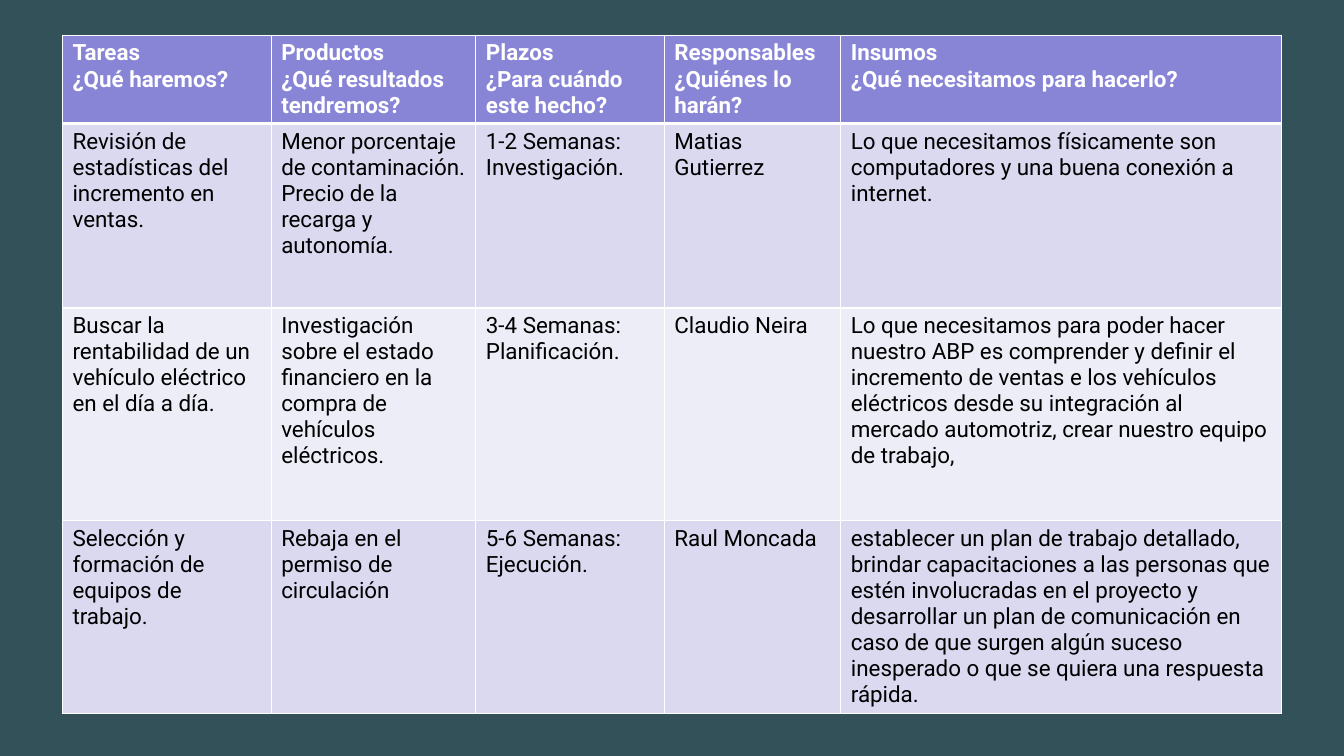
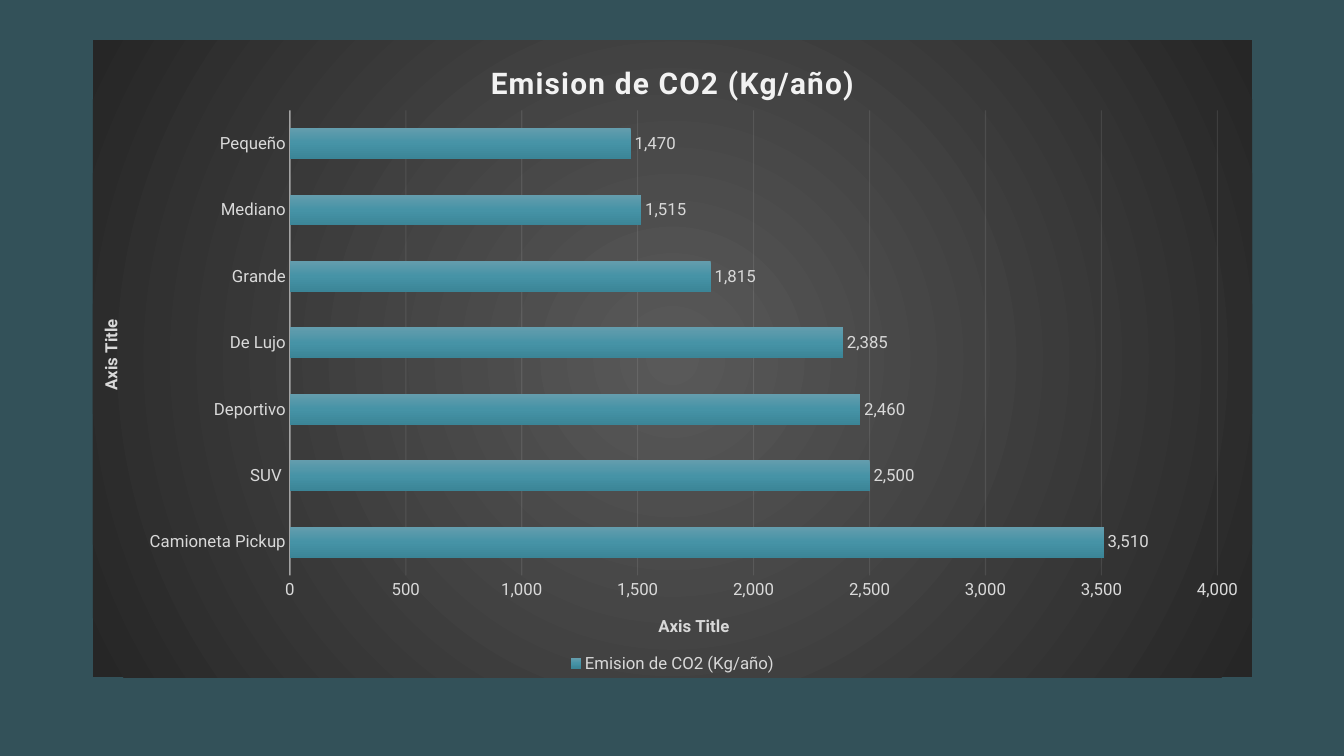
from dataclasses import dataclass

from lxml.etree import SubElement
from pptx import Presentation
from pptx.chart.data import CategoryChartData
from pptx.dml.color import RGBColor
from pptx.enum.chart import XL_CHART_TYPE, XL_LABEL_POSITION, XL_LEGEND_POSITION, XL_TICK_MARK
from pptx.oxml import parse_xml
from pptx.oxml.ns import nsdecls, qn
from pptx.util import Inches, Pt


@dataclass(frozen=True)
class Theme:
    font: str = "Roboto"
    ground: str = "335159"
    header: str = "8885D7"
    bands: tuple = ("DAD9F0", "EDEDF8")
    white: str = "FFFFFF"
    black: str = "000000"
    bright: str = "F2F2F2"
    label: str = "D9D9D9"
    panel: tuple = ((0, "595959"), (100, "262626"))
    bar: tuple = ((0, "649DAD"), (50, "4693A6"), (100, "3B8597"))
    table_size: float = 16
    title_size: float = 21.3
    label_size: float = 12


THEME = Theme()
WIDTH, HEIGHT = 13.33, 7.5

PLAN_BOX = (0.62, 0.35)
PLAN_COLUMNS = (2.07, 2.03, 1.87, 1.75, 4.37)
PLAN_ROWS = (0.87, 1.83, 2.11, 1.91)
PLAN = [
    [
        "Tareas\n¿Qué haremos?",
        "Productos\n¿Qué resultados tendremos?",
        "Plazos\n¿Para cuándo este hecho?",
        "Responsables\n¿Quiénes lo harán?",
        "Insumos\n¿Qué necesitamos para hacerlo?",
    ],
    [
        "Revisión de estadísticas del incremento en ventas.",
        "Menor porcentaje de contaminación.\nPrecio de la recarga y autonomía.",
        "1-2 Semanas: Investigación.",
        "Matias Gutierrez",
        "Lo que necesitamos físicamente son computadores y una buena conexión a internet.",
    ],
    [
        "Buscar la rentabilidad de un vehículo eléctrico en el día a día.",
        "Investigación sobre el estado financiero en la compra de vehículos eléctricos.",
        "3-4 Semanas: Planificación.",
        "Claudio Neira",
        "Lo que necesitamos para poder hacer nuestro ABP es comprender y definir el "
        "incremento de ventas e los vehículos eléctricos desde su integración al mercado "
        "automotriz, crear nuestro equipo de trabajo,",
    ],
    [
        "Selección y formación de equipos de trabajo.",
        "Rebaja en el permiso de circulación",
        "5-6 Semanas: Ejecución.",
        "Raul Moncada",
        "establecer un plan de trabajo detallado, brindar capacitaciones a las personas que "
        "estén involucradas en el proyecto y desarrollar un plan de comunicación en caso de "
        "que surgen algún suceso inesperado o que se quiera una respuesta rápida.",
    ],
]

CHART_BOX = (0.92, 0.4, 11.5, 6.32)
CHART_TITLE = "Emision de CO2 (Kg/año)"
AXIS_TITLE = "Axis Title"
NUMBER_FORMAT = "#,##0"
PLOT_SHARES = {"x": 0.17, "y": 0.11, "w": 0.8, "h": 0.73}
EMISSIONS = {
    "Camioneta Pickup": 3510,
    "SUV ": 2500,
    "Deportivo": 2460,
    "De Lujo": 2385,
    "Grande": 1815,
    "Mediano": 1515,
    "Pequeño": 1470,
}


def style(font, size, color, bold=False):
    font.name, font.size, font.bold = THEME.font, Pt(size), bold
    font.color.rgb = RGBColor.from_string(color)


def set_borders(cell, bottom):
    properties = cell._tc.get_or_add_tcPr()
    for side, width in (("L", 1), ("R", 1), ("T", 1), ("B", bottom)):
        line = SubElement(properties, qn(f"a:ln{side}"), w=str(Pt(width)))
        fill = SubElement(line, qn("a:solidFill"))
        SubElement(fill, qn("a:srgbClr"), val=THEME.white)


def gradient(stops, direction):
    marks = "".join(
        f'<a:gs pos="{place * 1000}"><a:srgbClr val="{color}"/></a:gs>' for place, color in stops
    )
    return parse_xml(
        f'<a:gradFill {nsdecls("a")} rotWithShape="1"><a:gsLst>{marks}</a:gsLst>{direction}</a:gradFill>'
    )


def style_line(line, width, opacity):
    line.width = Pt(width)
    line.color.rgb = RGBColor.from_string(THEME.bright)
    for color in line._ln.iter(qn("a:srgbClr")):
        SubElement(color, qn("a:alpha"), val=str(opacity * 1000))


def write_title(frame, text, size, color):
    frame.text = text
    span = frame.paragraphs[0].runs[0]
    style(span.font, size, color, True)
    return span


def add_plan(page):
    left, top = PLAN_BOX
    table = page.shapes.add_table(
        len(PLAN_ROWS), len(PLAN_COLUMNS), Inches(left), Inches(top),
        Inches(sum(PLAN_COLUMNS)), Inches(sum(PLAN_ROWS)),
    ).table
    for column, width in zip(table.columns, PLAN_COLUMNS):
        column.width = Inches(width)
    for index, (row, height, texts) in enumerate(zip(table.rows, PLAN_ROWS, PLAN)):
        row.height = Inches(height)
        heading = index == 0
        background = THEME.header if heading else THEME.bands[(index - 1) % 2]
        for cell, text in zip(row.cells, texts):
            cell.text_frame.text = text
            set_borders(cell, 3 if heading else 1)
            cell.fill.solid()
            cell.fill.fore_color.rgb = RGBColor.from_string(background)
            for para in cell.text_frame.paragraphs:
                for span in para.runs:
                    style(span.font, THEME.table_size, THEME.white if heading else THEME.black, heading)


def place_plot(chart):
    area = chart._chartSpace.chart.plotArea
    for layout in area.findall(qn("c:layout")):
        area.remove(layout)
    marks = '<c:layoutTarget val="inner"/><c:xMode val="edge"/><c:yMode val="edge"/>'
    marks += "".join(f'<c:{name} val="{share}"/>' for name, share in PLOT_SHARES.items())
    area.insert(0, parse_xml(
        f'<c:layout {nsdecls("c")}><c:manualLayout>{marks}</c:manualLayout></c:layout>'
    ))


def add_emissions(page):
    data = CategoryChartData(number_format=NUMBER_FORMAT)
    data.categories = list(EMISSIONS)
    data.add_series(CHART_TITLE, list(EMISSIONS.values()))
    box = [Inches(length) for length in CHART_BOX]
    chart = page.shapes.add_chart(XL_CHART_TYPE.BAR_CLUSTERED, *box, data).chart
    style(chart.font, THEME.label_size, THEME.label)

    panel = parse_xml(f'<c:spPr {nsdecls("c", "a")}><a:ln><a:noFill/></a:ln></c:spPr>')
    panel.insert(0, gradient(
        THEME.panel,
        '<a:path path="circle"><a:fillToRect l="50000" t="50000" r="50000" b="50000"/></a:path>',
    ))
    chart._chartSpace.chart.addnext(panel)
    place_plot(chart)

    chart.has_title = True
    span = write_title(chart.chart_title.text_frame, CHART_TITLE, THEME.title_size, THEME.bright)
    span._r.get_or_add_rPr().set("spc", "100")
    chart.chart_title.include_in_layout = False

    chart.has_legend = True
    chart.legend.position = XL_LEGEND_POSITION.BOTTOM
    chart.legend.include_in_layout = False
    style(chart.legend.font, THEME.label_size, THEME.label)

    categories, values = chart.category_axis, chart.value_axis
    for axis, turn in ((categories, -5400000), (values, 0)):
        axis.major_tick_mark = axis.minor_tick_mark = XL_TICK_MARK.NONE
        style(axis.tick_labels.font, THEME.label_size, THEME.label)
        frame = axis.axis_title.text_frame
        write_title(frame, AXIS_TITLE, THEME.label_size, THEME.label)
        frame._txBody.bodyPr.set("rot", str(turn))
        frame._txBody.bodyPr.set("vert", "horz")
    style_line(categories.format.line, 1, 54)
    values.format.line.fill.background()
    values.minimum_scale, values.maximum_scale, values.major_unit = 0, 4000, 500
    values.tick_labels.number_format = NUMBER_FORMAT
    values.tick_labels.number_format_is_linked = False
    values.has_major_gridlines = True
    style_line(values.major_gridlines.format.line, 0.75, 10)

    plot = chart.plots[0]
    plot.gap_width, plot.overlap, plot.vary_by_categories = 115, -20, False
    series = plot.series[0]
    series.invert_if_negative = False
    series._element.get_or_add_spPr().insert(0, gradient(THEME.bar, '<a:lin ang="5400000" scaled="0"/>'))
    labels = series.data_labels
    labels.show_value = True
    labels.position = XL_LABEL_POSITION.OUTSIDE_END
    labels.number_format = NUMBER_FORMAT
    labels.number_format_is_linked = False
    style(labels.font, THEME.label_size, THEME.label)


def main():
    deck = Presentation()
    deck.slide_width, deck.slide_height = Inches(WIDTH), Inches(HEIGHT)
    ground = deck.slide_master.background.fill
    ground.solid()
    ground.fore_color.rgb = RGBColor.from_string(THEME.ground)
    blank = deck.slide_layouts.get_by_name("Blank")
    for fill_page in (add_plan, add_emissions):
        fill_page(deck.slides.add_slide(blank))
    deck.save("out.pptx")


if __name__ == "__main__":
    main()
